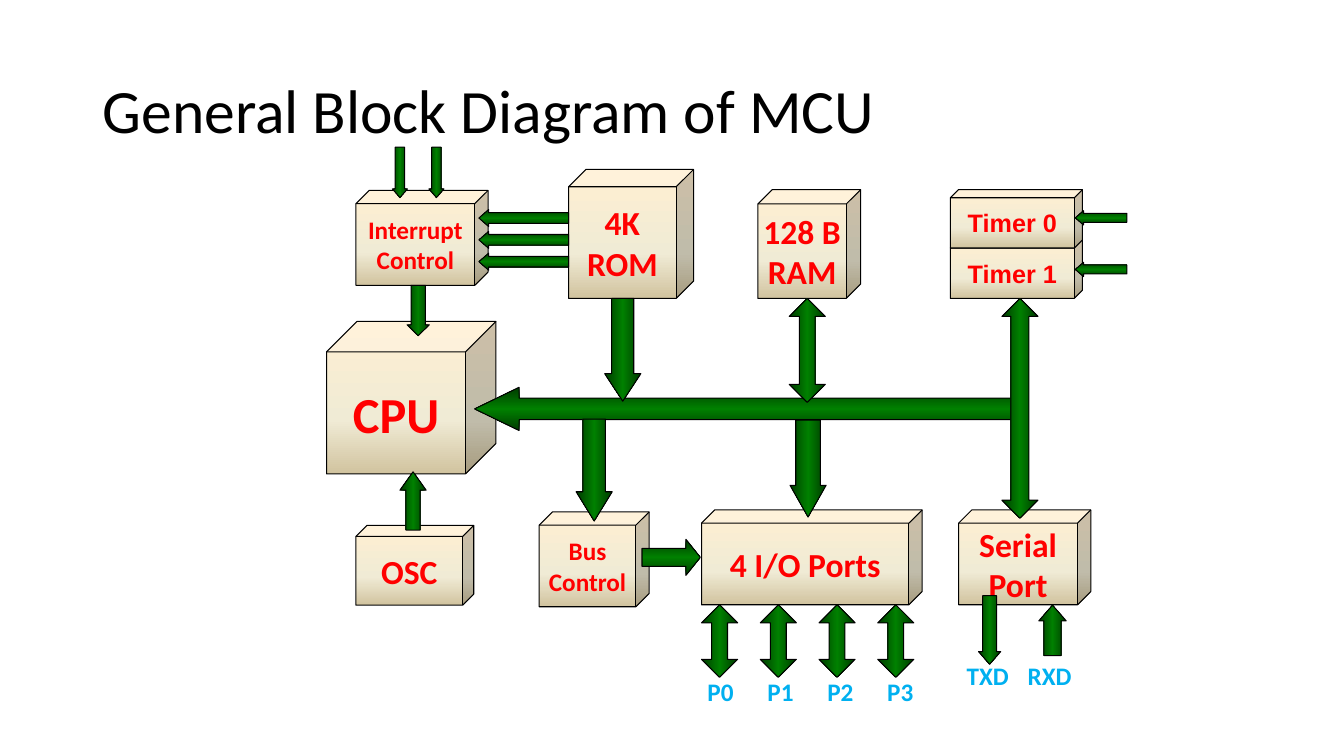
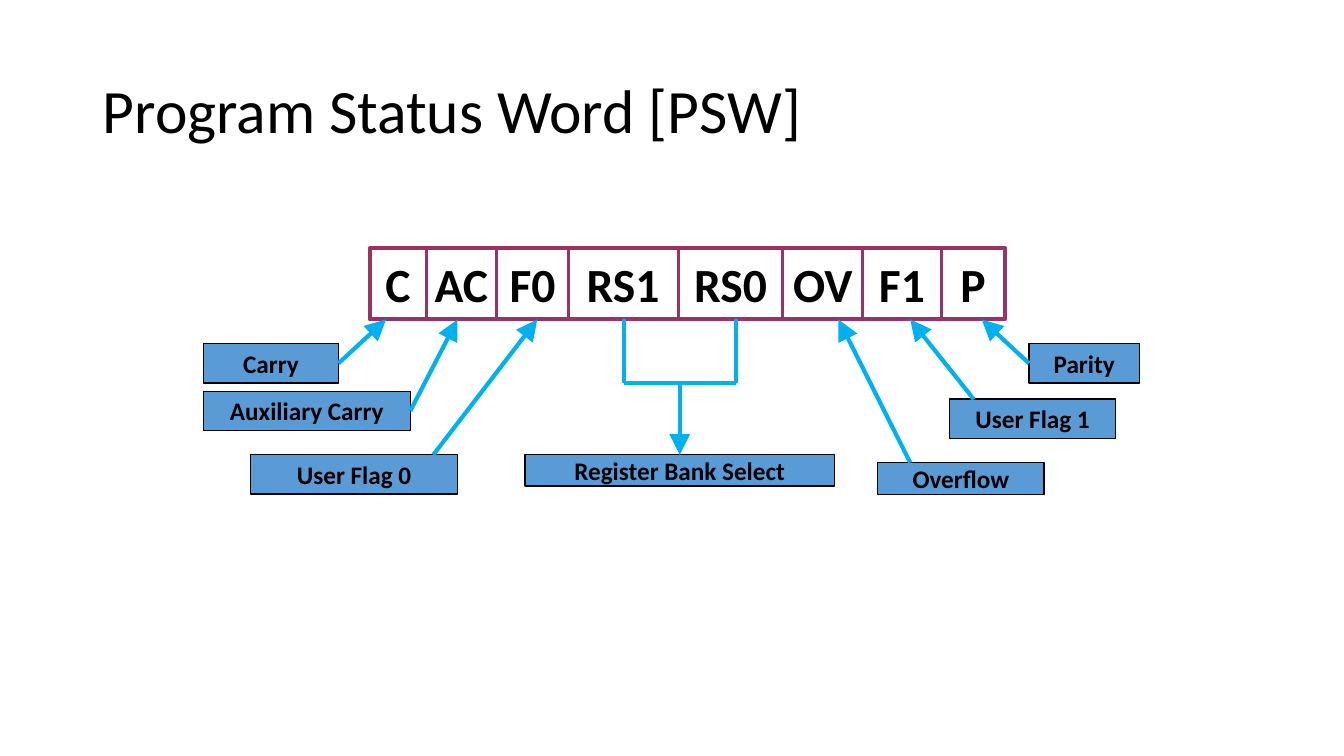
from copy import deepcopy
from itertools import pairwise

from lxml.etree import SubElement
from pptx import Presentation
from pptx.dml.color import RGBColor
from pptx.enum.shapes import MSO_CONNECTOR, MSO_SHAPE as Preset
from pptx.enum.text import MSO_ANCHOR as Anchor, PP_ALIGN as Align
from pptx.oxml.ns import qn
from pptx.util import Cm, Pt

FONT = "Calibri"
BLACK, WHITE, RED = "000000", "FFFFFF", "FF0000"
SKY, PLUM, LABEL_BLUE = "00B0F0", "993366", "5B9BD5"
CREAM_STOPS = ((0, "FFEFD1"), (0.65, "F0EBD5"), (1, "D1C39F"))
GREEN_STOPS = ((0, "003B00"), (0.5, "008000"), (1, "003B00"))
HORIZONTAL = (Preset.LEFT_ARROW, Preset.RIGHT_ARROW)
SMALL_HEAD = (0.625, 0.573)


def colour(value):
    """Turn a hex string into a colour."""
    return RGBColor.from_string(value)


def place(origin, left, top, width, height):
    """Return a box in lengths, offset from an origin in centimetres."""
    return Cm(origin[0] + left), Cm(origin[1] + top), Cm(width), Cm(height)


def write(shape, text, size, tint, bold=True, font=FONT, align=Align.CENTER,
          anchor=Anchor.MIDDLE, wrap=False):
    """Fill a shape with uniformly styled paragraphs."""
    frame = shape.text_frame
    frame.text = text
    frame.word_wrap = wrap
    frame.vertical_anchor = anchor
    for para in frame.paragraphs:
        para.alignment = align
        para.font.name = font
        para.font.size = Pt(size)
        para.font.bold = bold
        para.font.color.rgb = colour(tint)


def add_outlined(page, preset, box, line, width):
    """Add a preset shape with an outline and no shadow."""
    shape = page.shapes.add_shape(preset, *box)
    shape.shadow.inherit = False
    shape.line.color.rgb = colour(line)
    shape.line.width = Pt(width)
    return shape


def shade(shape, stops, angle):
    """Give a shape a three-stop linear gradient."""
    shape.fill.gradient()
    shape.fill.gradient_angle = angle
    stop_list = shape._element.spPr.find(qn("a:gradFill")).find(qn("a:gsLst"))
    stop_list.append(deepcopy(stop_list[0]))
    for stop, (position, tint) in zip(shape.fill.gradient_stops, stops):
        stop.position = position
        stop.color.rgb = colour(tint)


def add_line(page, origin, start, end, tint, width, arrow=False):
    """Add a straight line, with a large arrowhead at its end if wanted."""
    points = [Cm(base + part) for point in (start, end) for base, part in zip(origin, point)]
    line = page.shapes.add_connector(MSO_CONNECTOR.STRAIGHT, *points)
    line.line.color.rgb = colour(tint)
    line.line.width = Pt(width)
    properties = line._element.spPr
    if arrow:
        SubElement(properties.find(qn("a:ln")), qn("a:tailEnd"), type="triangle", w="lg", len="lg")
    SubElement(properties, qn("a:effectLst"))
    return line


def add_page(deck, title):
    """Add a blank page with the shared title style."""
    page = deck.slides.add_slide(deck.slide_layouts[6])
    box = page.shapes.add_textbox(*place((2.34, 1.02), 0, 0, 29.21, 3.68))
    write(box, title, 44, BLACK, bold=False, align=Align.LEFT, wrap=True)
    box.text_frame.paragraphs[0].line_spacing = 0.9
    return page


def add_cube(page, origin, box, text, size, font=FONT, depth=0.139):
    """Add one cream block of the diagram."""
    cube = add_outlined(page, Preset.CUBE, place(origin, *box), BLACK, 0.75)
    cube.adjustments[0] = depth
    shade(cube, CREAM_STOPS, 270)
    write(cube, text, size, RED, font=font)


def add_block_arrow(page, origin, preset, box, head=SMALL_HEAD):
    """Add one green block arrow, shaded across its shaft."""
    arrow = add_outlined(page, preset, place(origin, *box), BLACK, 0.75)
    arrow.adjustments[0], arrow.adjustments[1] = head
    shade(arrow, GREEN_STOPS, 270 if preset in HORIZONTAL else 0)


def add_pin_label(page, origin, box, text):
    """Add the blue name of a pin or port."""
    label = page.shapes.add_textbox(*place(origin, *box))
    write(label, text, 18, SKY, align=Align.LEFT, anchor=Anchor.TOP, wrap=True)


def draw_blocks(page, origin):
    """Draw the functional blocks of the controller."""
    add_cube(page, origin, (0, 4.39, 4.27, 3.84), "CPU", 36, depth=0.2)
    for text, size, box in (
        ("Interrupt\nControl", 18, (0.74, 1.09, 3.33, 2.39)),
        ("4K\nROM", 24, (6.1, 0.56, 3.15, 3.25)),
        ("128 B\nRAM", 24, (10.87, 1.07, 2.59, 2.74)),
        ("OSC", 24, (0.74, 9.53, 2.97, 2.01)),
        ("Bus\nControl", 18, (5.36, 9.19, 2.77, 2.39)),
        ("4 I/O Ports", 24, (9.45, 9.14, 5.56, 2.39)),
        ("Serial\nPort", 24, (15.93, 9.14, 3.33, 2.39)),
    ):
        add_cube(page, origin, box, text, size)
    for number in (1, 0):
        box = (15.72, 1.07 + 1.27 * number, 3.33, 1.47)
        add_cube(page, origin, box, f"Timer {number}", 18, font="Arial")


def draw_buses(page, origin):
    """Draw the arrows that join the blocks."""
    for preset, box, head in (
        (Preset.LEFT_ARROW, (3.73, 6.05, 13.69, 1.09), (0.5, 1.03)),
        (Preset.RIGHT_ARROW, (7.95, 9.88, 1.47, 0.91), (0.5, 0.4)),
        (Preset.DOWN_ARROW, (6.29, 6.85, 0.91, 2.57), (0.62, 0.81)),
        (Preset.DOWN_ARROW, (7.01, 3.81, 0.91, 2.59), (0.61, 0.76)),
        (Preset.DOWN_ARROW, (11.68, 6.88, 0.91, 2.44), (0.68, 0.88)),
        (Preset.UP_DOWN_ARROW, (17.02, 3.81, 0.91, 5.54), (1, 0.5)),
        (Preset.UP_DOWN_ARROW, (11.66, 3.81, 0.91, 2.62), (0.61, 0.44)),
        (Preset.DOWN_ARROW, (2.03, 3.48, 0.56, 1.27), (0.64, 0.49)),
        (Preset.UP_ARROW, (1.85, 8.18, 0.66, 1.47), (0.54, 0.7)),
    ):
        add_block_arrow(page, origin, preset, box, head)
    for row in range(3):
        add_block_arrow(page, origin, Preset.LEFT_ARROW, (3.84, 1.57 + 0.55 * row, 2.26, 0.43))


def draw_pins(page, origin):
    """Draw the outside signals with their names."""
    for column in range(2):
        add_block_arrow(page, origin, Preset.DOWN_ARROW, (1.66 + 0.92 * column, 0, 0.38, 1.27))
    for row in range(2):
        add_block_arrow(page, origin, Preset.LEFT_ARROW, (18.87, 1.6 + 1.3 * row, 1.3, 0.36))
    add_block_arrow(page, origin, Preset.DOWN_ARROW, (16.43, 11.3, 0.56, 1.73))
    add_block_arrow(page, origin, Preset.UP_ARROW, (17.95, 11.54, 0.69, 1.27))
    add_pin_label(page, origin, (15.88, 12.8, 2.26, 0.97), "TXD")
    add_pin_label(page, origin, (17.42, 12.8, 2.11, 0.97), "RXD")
    for port in range(4):
        box = (9.45 + 1.48 * port, 11.53, 0.91, 1.83)
        add_block_arrow(page, origin, Preset.UP_DOWN_ARROW, box, (0.47, 0.44))
        add_pin_label(page, origin, (9.35 + 1.51 * port, 13.21, 1.3, 0.97), f"P{port}")


def draw_register(page, origin):
    """Draw the status word as a framed row of named bits."""
    names = ("C", "AC", "F0", "RS1", "RS0", "OV", "F1", "P")
    edges = (0, 1.42, 3.2, 5, 7.77, 10.41, 12.42, 14.4, 16)
    height = 1.8
    frame = add_outlined(page, Preset.RECTANGLE, place(origin, 0, 0, edges[-1], height), PLUM, 3)
    frame.fill.solid()
    frame.fill.fore_color.rgb = colour(WHITE)
    for name, (left, right) in zip(names, pairwise(edges)):
        if left:
            add_line(page, origin, (left, 0), (left, height), PLUM, 2.25)
        cell = page.shapes.add_textbox(*place(origin, left, 0, right - left, height))
        cell.text_frame.margin_left = cell.text_frame.margin_right = Cm(0)
        write(cell, name, 34, BLACK)


def add_flag_label(page, origin, box, text):
    """Add the blue box that explains a flag."""
    label = add_outlined(page, Preset.RECTANGLE, place(origin, *box), BLACK, 1)
    label.fill.solid()
    label.fill.fore_color.rgb = colour(LABEL_BLUE)
    write(label, text, 18, BLACK)
    return label


def draw_flags(page, origin):
    """Draw the flag labels, each pointing up at its bit."""
    bit_bottom = 1.8
    for text, box, start, target, side in (
        ("Carry", (0, 2.41, 3.4, 0.99), (3.4, 2.9), 4.6, 3),
        ("Auxiliary Carry", (0, 3.61, 5.21, 0.99), (5.21, 4.1), 6.4, 3),
        ("User Flag 0", (1.19, 5.21, 5.21, 0.99), (5.79, 5.21), 8.41, None),
        ("Parity", (20.8, 2.41, 2.79, 0.99), (20.8, 2.9), 19.61, 1),
        ("User Flag 1", (18.8, 3.81, 4.19, 0.99), (19.41, 3.81), 17.81, None),
        ("Overflow", (16.99, 5.41, 4.19, 0.81), (17.81, 5.41), 16, None),
    ):
        label = add_flag_label(page, origin, box, text)
        pointer = add_line(page, origin, start, (target, bit_bottom), SKY, 3, arrow=True)
        if side is not None:
            pointer.begin_connect(label, side)


def draw_bank_select(page, origin):
    """Draw the bracket under RS1 and RS0 with its label."""
    left, right, top, bar = 10.59, 13.41, 1.8, 3.4
    for start, end in (((left, top), (left, bar)), ((right, top), (right, bar)),
                       ((left, bar), (right, bar))):
        add_line(page, origin, start, end, SKY, 3)
    label = add_flag_label(page, origin, (8.1, 5.21, 7.8, 0.79), "Register Bank Select")
    stem = add_line(page, origin, (12, bar), (12, 5.21), SKY, 3, arrow=True)
    stem.end_connect(label, 0)


def main():
    """Build the deck and save it."""
    deck = Presentation()
    deck.slide_width, deck.slide_height = Cm(33.87), Cm(19.05)

    page = add_page(deck, "General Block Diagram of MCU")
    for draw in (draw_blocks, draw_buses, draw_pins):
        draw(page, (8.23, 3.71))

    page = add_page(deck, "Program Status Word [PSW]")
    draw_register(page, (9.32, 6.25))
    for draw in (draw_bank_select, draw_flags):
        draw(page, (5.13, 6.25))

    deck.save("out.pptx")


if __name__ == "__main__":
    main()
